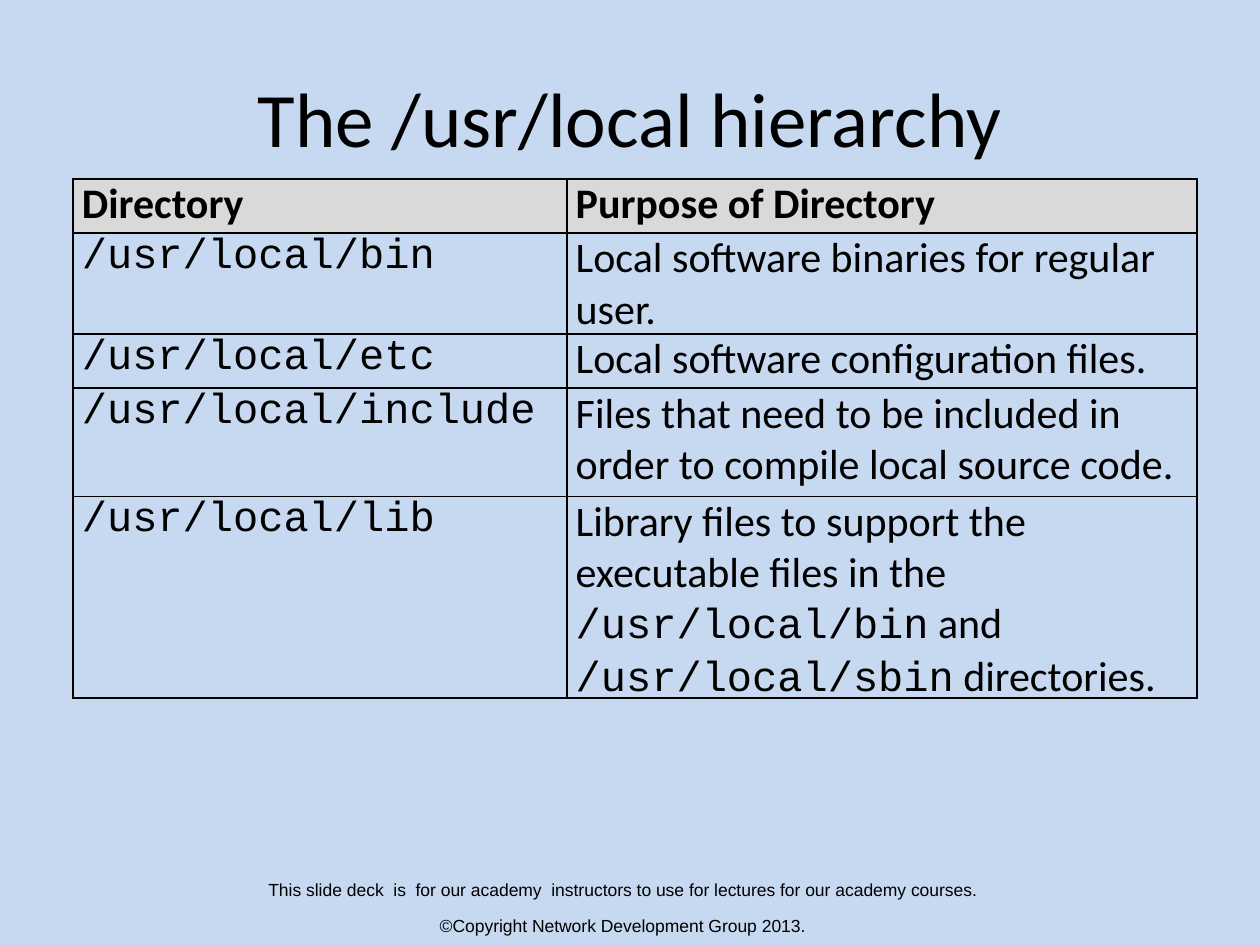
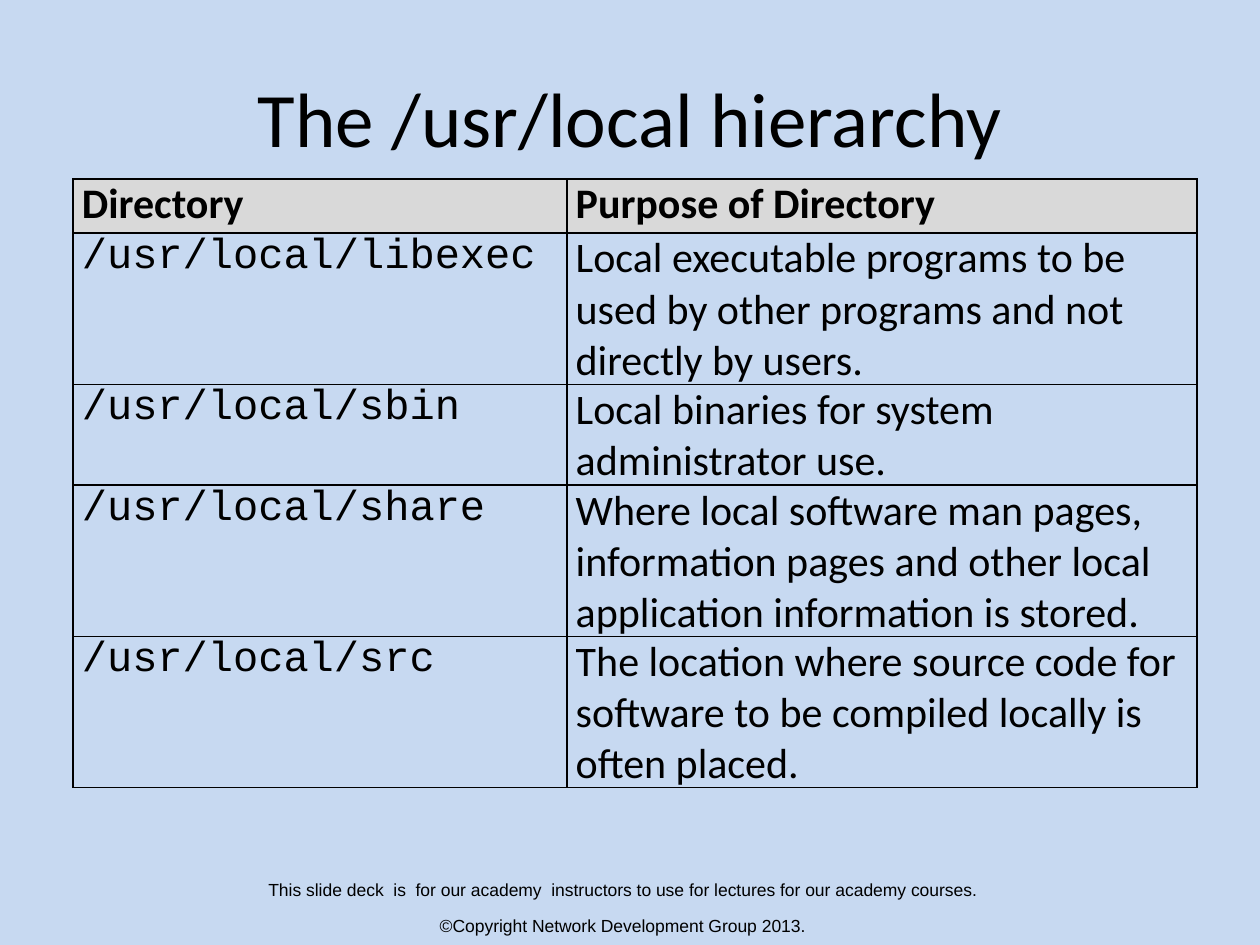
from dataclasses import dataclass

from lxml.etree import SubElement
from pptx import Presentation
from pptx.dml.color import RGBColor
from pptx.enum.text import MSO_ANCHOR, PP_ALIGN
from pptx.oxml.ns import qn
from pptx.util import Inches, Pt


@dataclass(frozen=True)
class Theme:
    background: str = "C7D9F1"
    header_fill: str = "D9D9D9"
    ink: str = "000000"
    title_font: str = "Calibri"
    body_font: str = "Calibri"
    code_font: str = "Courier New"
    footer_font: str = "Arial"
    title_size: int = 44
    table_size: int = 24
    footer_size: int = 10
    border_width: int = 1


THEME = Theme()
TITLE_BOX = (0.5, 0.3, 9, 1.25)
TABLE_BOX = (0.58, 1.42, 8.92, 3.01)
FOOTER_BOX = (0, 6.93, 9.88, 0.57)

DIRECTORY_SHARE = 3.92 / 8.92
ROW_HEIGHTS = (0.43, 0.43, 0.43, 0.86, 0.86)
CELL_MARGIN = 0.07

TITLE = "The /usr/local hierarchy"
HEADINGS = ("Directory", "Purpose of Directory")
FOOTER = (
    "This slide deck  is  for our academy  instructors to use for lectures for our academy courses.",
    "©Copyright Network Development Group 2013.",
)

# A purpose is a list of pieces; pieces starting with "/" are paths.
DIRECTORY_SLIDES = (
    (
        ("/usr/local/bin", ["Local software binaries for regular user."]),
        ("/usr/local/etc", ["Local software configuration files."]),
        ("/usr/local/include",
         ["Files that need to be included in order to compile local source code."]),
        ("/usr/local/lib",
         ["Library files to support the executable files in the ",
          "/usr/local/bin", " and ", "/usr/local/sbin", " directories."]),
    ),
    (
        ("/usr/local/libexec",
         ["Local executable programs to be used by other programs and not directly by users."]),
        ("/usr/local/sbin", ["Local binaries for system administrator use."]),
        ("/usr/local/share",
         ["Where local software man pages, information pages and other local "
          "application information is stored."]),
        ("/usr/local/src",
         ["The location where source code for software to be compiled locally is often placed."]),
    ),
)


def add_run(p, text, font, size, bold=False):
    r = p.add_run()
    r.text = text
    r.font.name = font
    r.font.size = Pt(size)
    r.font.bold = bold
    r.font.color.rgb = RGBColor.from_string(THEME.ink)


def add_title(slide, box):
    sp = slide.shapes.title
    sp.left, sp.top, sp.width, sp.height = map(Inches, box)
    tf = sp.text_frame
    tf.vertical_anchor = MSO_ANCHOR.MIDDLE
    p = tf.paragraphs[0]
    p.alignment = PP_ALIGN.CENTER
    add_run(p, TITLE, THEME.title_font, THEME.title_size)


def add_footer(slide, box):
    tf = slide.shapes.add_textbox(*map(Inches, box)).text_frame
    tf.word_wrap = True
    for i, line in enumerate(FOOTER):
        p = tf.add_paragraph() if i else tf.paragraphs[0]
        p.alignment = PP_ALIGN.CENTER
        if i:
            p.space_before = Pt(8.5)
        add_run(p, line, THEME.footer_font, THEME.footer_size)


def add_borders(cell):
    tc_pr = cell._tc.get_or_add_tcPr()
    for side in ("L", "R", "T", "B"):
        ln = SubElement(tc_pr, qn(f"a:ln{side}"), w=str(Pt(THEME.border_width)))
        fill = SubElement(ln, qn("a:solidFill"))
        SubElement(fill, qn("a:srgbClr"), val=THEME.ink)


def fill_cell(cell, pieces, header):
    cell.margin_left = cell.margin_right = Inches(CELL_MARGIN)
    cell.margin_top = cell.margin_bottom = 0
    add_borders(cell)
    if header:
        cell.fill.solid()
        cell.fill.fore_color.rgb = RGBColor.from_string(THEME.header_fill)
    else:
        cell.fill.background()
    p = cell.text_frame.paragraphs[0]
    for piece in pieces:
        font = THEME.code_font if piece.startswith("/") else THEME.body_font
        add_run(p, piece, font, THEME.table_size, bold=header)


def add_directory_table(slide, box, directories):
    rows = [[[heading] for heading in HEADINGS]]
    rows += [[[directory], purpose] for directory, purpose in directories]
    frame = slide.shapes.add_table(len(rows), len(HEADINGS), *map(Inches, box))
    table = frame.table
    table.first_row = table.horz_banding = False
    width = box[2]
    table.columns[0].width = Inches(width * DIRECTORY_SHARE)
    table.columns[1].width = Inches(width * (1 - DIRECTORY_SHARE))
    for i, (row, height) in enumerate(zip(rows, ROW_HEIGHTS)):
        table.rows[i].height = Inches(height)
        for j, pieces in enumerate(row):
            fill_cell(table.cell(i, j), pieces, header=i == 0)


def add_directory_slide(prs, directories):
    slide = prs.slides.add_slide(prs.slide_layouts.get_by_name("Title Only"))
    fill = slide.background.fill
    fill.solid()
    fill.fore_color.rgb = RGBColor.from_string(THEME.background)
    add_footer(slide, FOOTER_BOX)
    add_title(slide, TITLE_BOX)
    add_directory_table(slide, TABLE_BOX, directories)


def main():
    prs = Presentation()
    prs.slide_width, prs.slide_height = Inches(10), Inches(7.5)
    for directories in DIRECTORY_SLIDES:
        add_directory_slide(prs, directories)
    prs.save("out.pptx")


if __name__ == "__main__":
    main()
